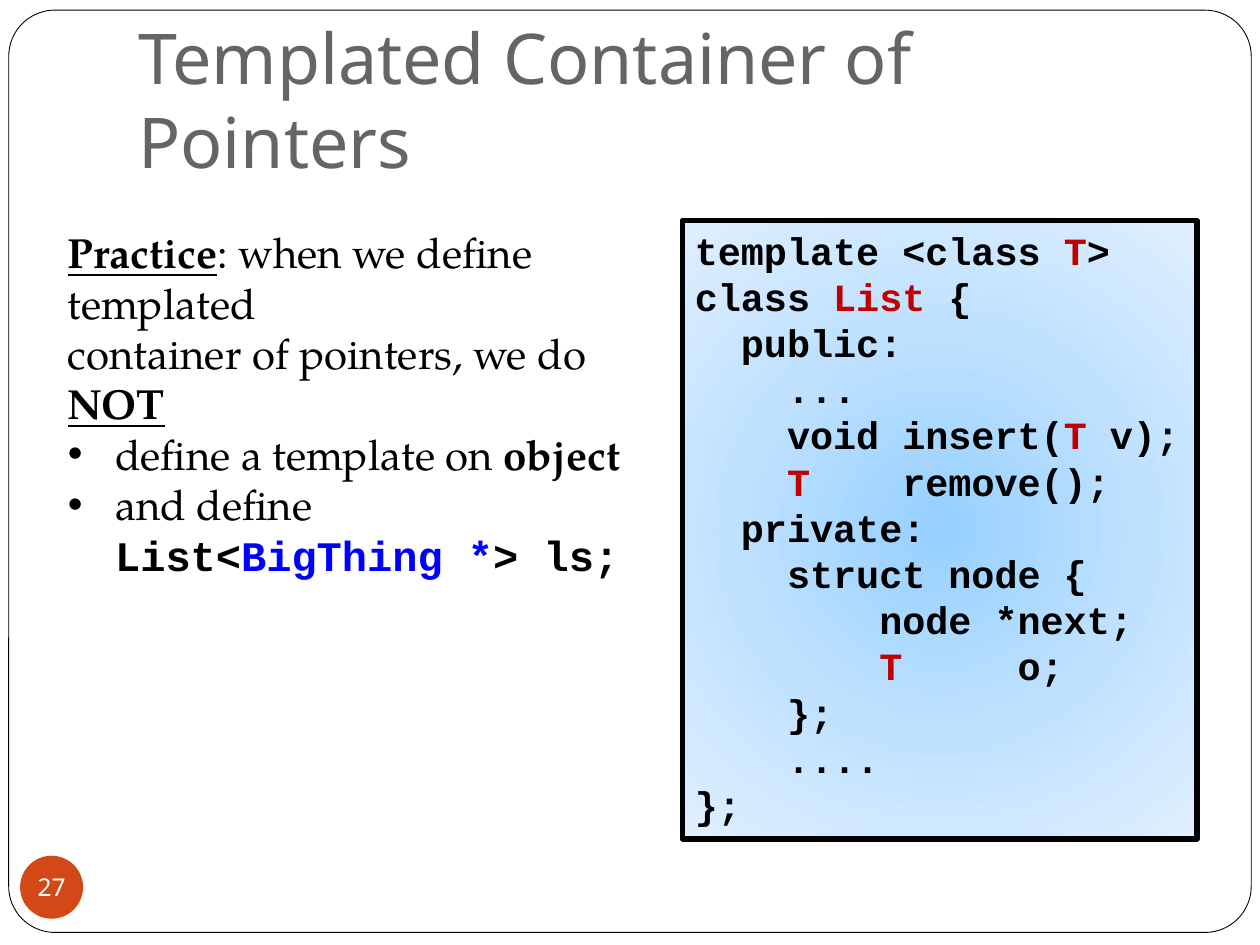
from pptx import Presentation
from pptx.util import Pt
from pptx.dml.color import RGBColor
from pptx.enum.shapes import MSO_SHAPE
from pptx.enum.text import MSO_ANCHOR, PP_ALIGN
from pptx.oxml import parse_xml
from pptx.oxml.ns import nsdecls

BLACK = RGBColor(0, 0, 0)
WHITE = RGBColor(255, 255, 255)
GRAY = RGBColor(0x69, 0x64, 0x64)
ORANGE = RGBColor(0xD3, 0x48, 0x17)
RED = RGBColor(0xC0, 0, 0)
BLUE = RGBColor(0, 0, 255)


def set_box(box, anchor, margins):
    frame = box.text_frame
    values = dict(zip(("margin_left", "margin_top", "margin_right", "margin_bottom"), map(Pt, margins)))
    values.update(word_wrap=True, vertical_anchor=anchor)
    for name, value in values.items():
        setattr(frame, name, value)
    return frame


def add_runs(para, runs, base):
    para.alignment = PP_ALIGN.LEFT
    for text, extra in runs:
        form = {**base, **extra}
        for i, line in enumerate(text.split("\n")):
            if i:
                para.add_line_break()
            if not line:
                continue
            run = para.add_run()
            run.text = line
            run.font.color.rgb = form["color"]
            for name in ("name", "size", "bold", "underline"):
                if name in form:
                    setattr(run.font, name, form[name])


deck = Presentation()
deck.slide_width, deck.slide_height = Pt(720), Pt(540)
slide = deck.slides.add_slide(deck.slide_layouts[6])
shapes = slide.shapes

border = shapes.add_shape(MSO_SHAPE.ROUNDED_RECTANGLE, Pt(5), Pt(5.8), Pt(710), Pt(527))
border.adjustments[0] = 0.05
border.fill.solid()
border.fill.fore_color.rgb = WHITE
border.line.color.rgb = BLACK
border.line.width = Pt(0.5)
border.shadow.inherit = False

title = shapes.add_textbox(Pt(72), Pt(21.6), Pt(612), Pt(90))
frame = set_box(title, MSO_ANCHOR.BOTTOM, (7.2, 3.6, 7.2, 7.2))
add_runs(frame.paragraphs[0], [("Templated Container of Pointers", {})],
         {"name": "Noto Sans", "size": Pt(40), "color": GRAY})

badge = shapes.add_shape(MSO_SHAPE.OVAL, Pt(11.5), Pt(489), Pt(36), Pt(36))
badge.fill.solid()
badge.fill.fore_color.rgb = ORANGE
badge.line.fill.background()
badge.shadow.inherit = False
frame = set_box(badge, MSO_ANCHOR.MIDDLE, (0, 0, 0, 0))
frame.word_wrap = False
add_runs(frame.paragraphs[0], [("27", {})],
         {"name": "Noto Sans", "size": Pt(14), "color": WHITE})
frame.paragraphs[0].alignment = PP_ALIGN.CENTER

panel = shapes.add_shape(MSO_SHAPE.RECTANGLE, Pt(390), Pt(126), Pt(294), Pt(353.5))
stops = "".join(f'<a:gs pos="{pos}"><a:srgbClr val="{tone}"/></a:gs>'
                for pos, tone in ((0, "96D0FF"), (50000, "BFE1FF"), (100000, "E0EFFF")))
panel._element.spPr.insert(2, parse_xml(
    f'<a:gradFill {nsdecls("a")} rotWithShape="1"><a:gsLst>{stops}</a:gsLst>'
    '<a:path path="circle"><a:fillToRect l="50000" t="50000" r="50000" b="50000"/></a:path></a:gradFill>'))
panel.line.color.rgb = BLACK
panel.line.width = Pt(3)
panel.shadow.inherit = False
frame = set_box(panel, MSO_ANCHOR.TOP, (7.2, 3.6, 7.2, 3.6))
red = {"color": RED}
code = [
    ("template <class ", {}), ("T", red), (">\nclass ", {}), ("List ", red),
    ("{\n  public:\n    ...\n    void insert(", {}), ("T", red),
    (" v);\n    ", {}), ("T", red),
    ("    remove();\n  private:\n    struct node {\n        node *next;\n        ", {}),
    ("T", red), ("     o;\n    };\n    ....\n};", {}),
]
add_runs(frame.paragraphs[0], code,
         {"name": "Courier New", "size": Pt(22), "bold": True, "color": BLACK})

notes = shapes.add_textbox(Pt(31.7), Pt(126), Pt(340.5), Pt(210))
frame = set_box(notes, MSO_ANCHOR.TOP, (7.2, 3.6, 7.2, 3.6))
mark = {"bold": True, "underline": True}
mono = {"name": "Courier New", "bold": True}
points = [
    [("Practice", mark), (": when we define templated\ncontainer of pointers, we do ", {}), ("NOT", mark)],
    [("define a template on ", {}), ("object", {"bold": True})],
    [("and define\n", {}), ("List<", mono), ("BigThing *", {**mono, "color": BLUE}), ("> ls;", mono)],
]
for i, runs in enumerate(points):
    para = frame.paragraphs[0] if i == 0 else frame.add_paragraph()
    add_runs(para, runs, {"name": "TeX Gyre Pagella", "size": Pt(24), "color": BLACK})
    if i:
        props = para._p.get_or_add_pPr()
        props.set("marL", str(Pt(27)))
        props.set("indent", str(-Pt(27)))
        props.append(parse_xml(f'<a:buFont {nsdecls("a")} typeface="Arial"/>'))
        props.append(parse_xml(f'<a:buChar {nsdecls("a")} char="•"/>'))

deck.save("out.pptx")
